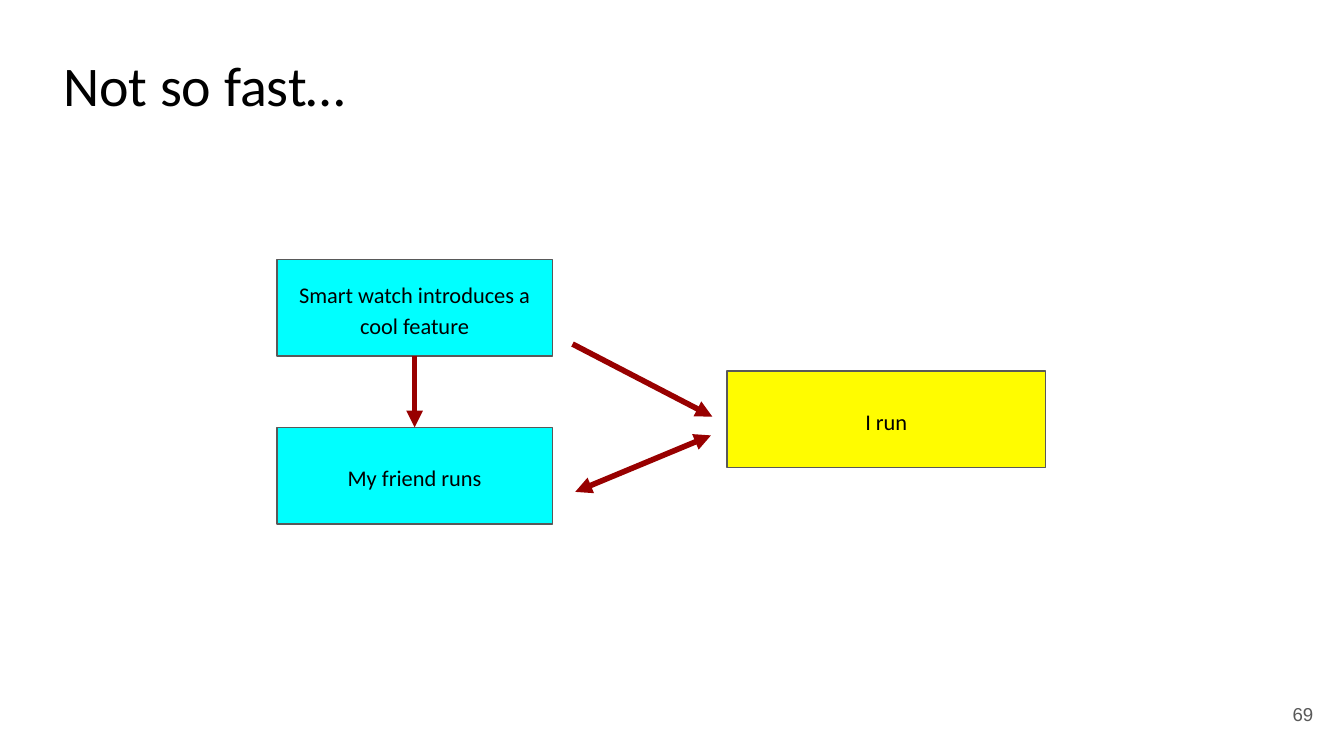
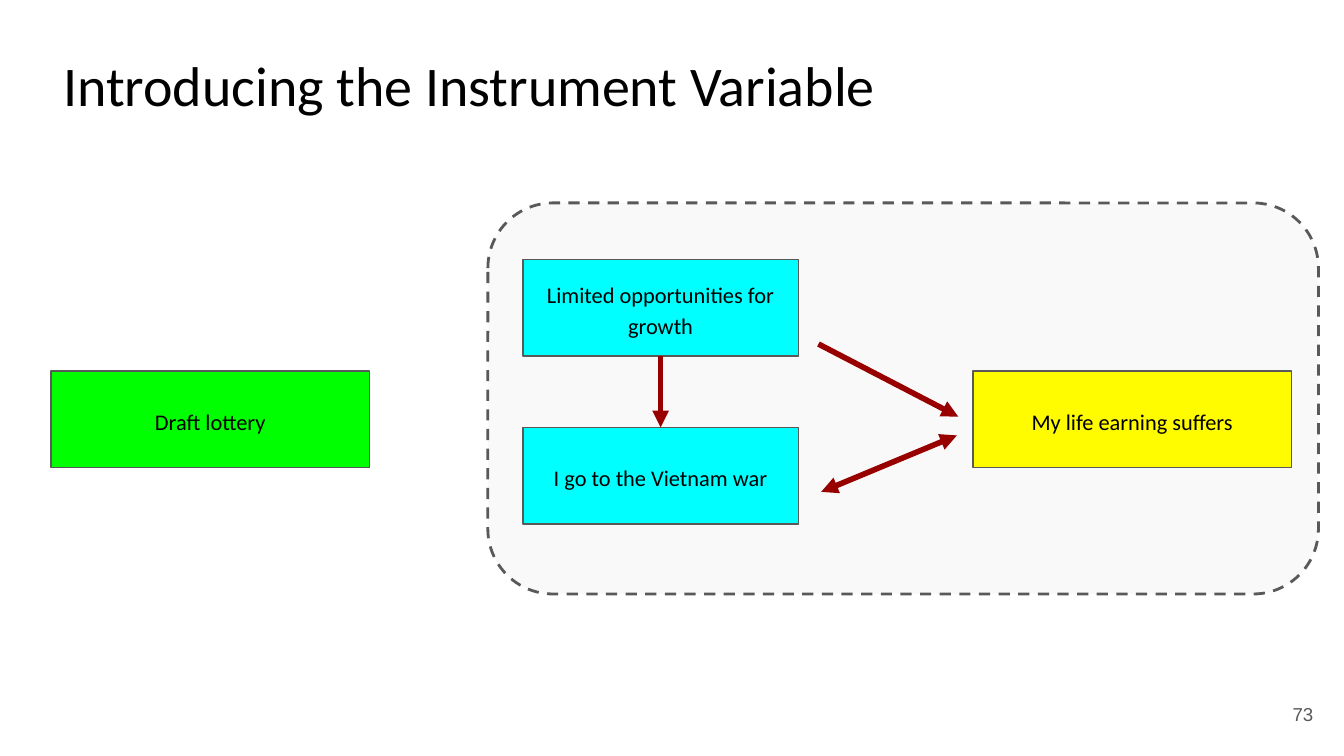
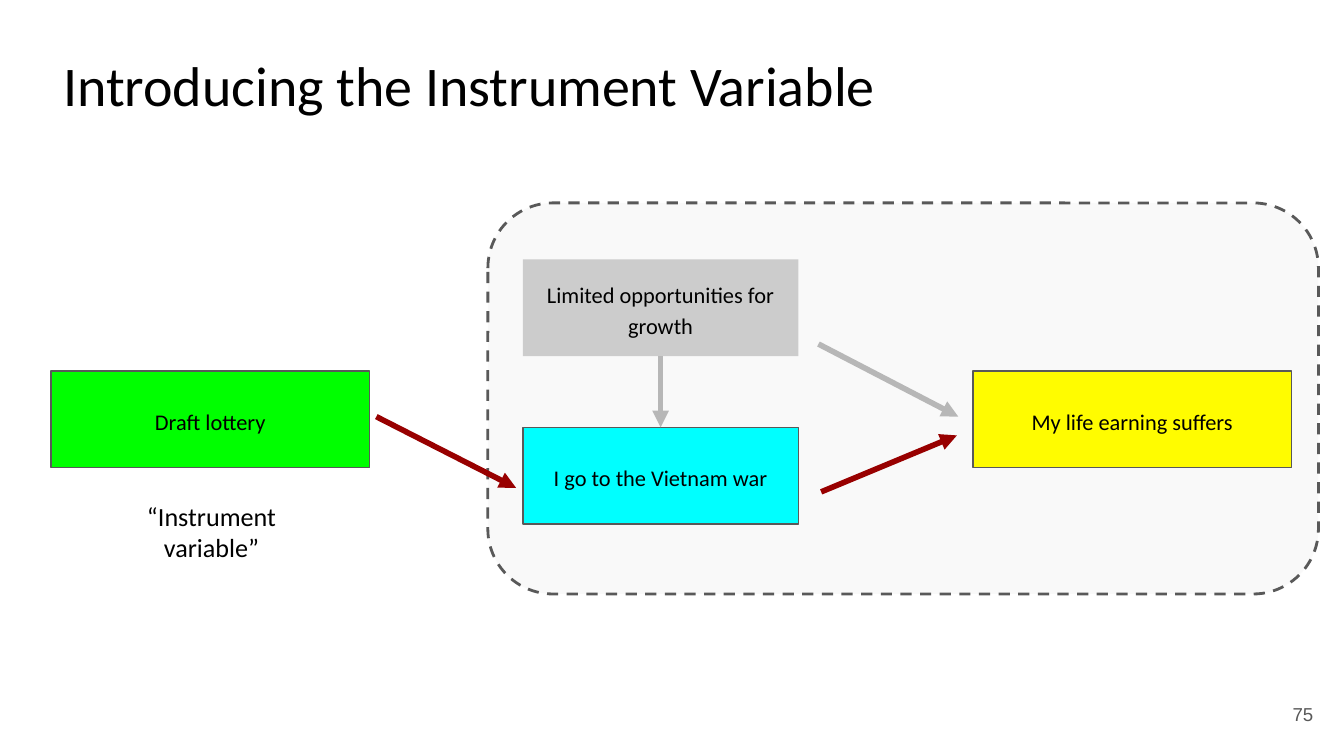
from lxml import etree
from pptx import Presentation
from pptx.dml.color import RGBColor
from pptx.enum.dml import MSO_LINE
from pptx.enum.shapes import MSO_CONNECTOR, MSO_SHAPE
from pptx.enum.text import MSO_ANCHOR, MSO_AUTO_SIZE, PP_ALIGN
from pptx.oxml.ns import qn
from pptx.util import Pt

PX = 9144
TITLE_ONLY = 5
BOTTOM, TOP = 2, 0
RECTANGLE, ROUNDED = MSO_SHAPE.RECTANGLE, MSO_SHAPE.ROUNDED_RECTANGLE
STRAIGHT, DASH = MSO_CONNECTOR.STRAIGHT, MSO_LINE.DASH
LEFT, CENTER, RIGHT = PP_ALIGN.LEFT, PP_ALIGN.CENTER, PP_ALIGN.RIGHT
ANCHOR_TOP, ANCHOR_MIDDLE = MSO_ANCHOR.TOP, MSO_ANCHOR.MIDDLE
NO_AUTOFIT = MSO_AUTO_SIZE.NONE

COLORS = {
    "text": "000000",
    "outline": "595959",
    "cause": "00FFFF",
    "effect": "FFFC00",
    "instrument": "00FF00",
    "panel": "EFEFEF",
    "muted": "CCCCCC",
    "arrow": "980000",
    "muted arrow": "B7B7B7",
}
SLIDE_WIDTH = 1000
BOX_HEIGHT = 72
CAUSE_WIDTH = 205
WIDE_WIDTH = 237
WIDE_TOP = 276
INSTRUMENT_TITLE = "Introducing the Instrument Variable"


def color(name):
    """Return the named colour."""
    return RGBColor.from_string(COLORS[name])


def px(*lengths):
    """Turn px lengths into EMU."""
    return [length * PX for length in lengths]


def write(shape, text, size, align=CENTER, anchor=ANCHOR_MIDDLE, spacing=1.0,
          inset=10, font="Calibri", ink="text"):
    """Put one formatted paragraph into a shape."""
    frame = shape.text_frame
    frame.text = text
    frame_format = {"word_wrap": True, "auto_size": NO_AUTOFIT, "vertical_anchor": anchor}
    for side in ("left", "top", "right", "bottom"):
        frame_format["margin_" + side] = inset * PX
    for name, value in frame_format.items():
        setattr(frame, name, value)
    para = frame.paragraphs[0]
    para.alignment = align
    para.line_spacing = spacing
    span = para.runs[0].font
    for name, value in {"name": font, "size": Pt(size), "bold": False}.items():
        setattr(span, name, value)
    span.color.rgb = color(ink)


def add_page(deck, title, number):
    """Add a slide with its title and page number."""
    page = deck.slides.add_slide(deck.slide_layouts[TITLE_ONLY])
    heading = page.shapes.title
    place = zip(("left", "top", "width", "height"), px(47, 47, 950, 54))
    for name, value in place:
        setattr(heading, name, value)
    write(heading, title, 30, align=LEFT, anchor=ANCHOR_TOP, spacing=0.8, inset=0)
    footer = page.shapes.add_textbox(*px(927, 510, 60, 43))
    write(footer, str(number), 10, align=RIGHT, font="Arial", ink="outline")
    return page


def add_box(page, text, left, top, width, fill, outlined=True):
    """Add a filled, labelled rectangle."""
    box = page.shapes.add_shape(RECTANGLE, *px(left, top, width, BOX_HEIGHT))
    box.shadow.inherit = False
    box.fill.solid()
    box.fill.fore_color.rgb = color(fill)
    if outlined:
        box.line.color.rgb = color("outline")
        box.line.width = Pt(0.75)
    else:
        box.line.fill.background()
    write(box, text, 12, spacing=1.15)
    return box


def add_arrow(page, start, end, ink="arrow", two_way=False):
    """Add a thick arrow between two points."""
    arrow = page.shapes.add_connector(STRAIGHT, *px(*start, *end))
    arrow.line.color.rgb = color(ink)
    arrow.line.width = Pt(3)
    properties = arrow.element.spPr
    line = properties.find(qn("a:ln"))
    for tag in ("a:headEnd", "a:tailEnd") if two_way else ("a:tailEnd",):
        etree.SubElement(line, qn(tag), type="triangle")
    etree.SubElement(properties, qn("a:effectLst"))
    return arrow


def add_panel(page):
    """Add the translucent dashed panel behind the causal diagram."""
    panel = page.shapes.add_shape(ROUNDED, *px(363, 151, 618, 291))
    panel.shadow.inherit = False
    panel.fill.solid()
    panel.fill.fore_color.rgb = color("panel")
    tint = panel.element.spPr.find(qn("a:solidFill")).find(qn("a:srgbClr"))
    etree.SubElement(tint, qn("a:alpha"), val="33000")
    panel.line.color.rgb = color("outline")
    panel.line.width = Pt(1.5)
    panel.line.dash_style = DASH


def add_diagram(page, left, confounder, cause, effect, muted=False):
    """Add a confounder, a cause and an effect joined by arrows."""
    ink = "muted arrow" if muted else "arrow"
    add_box(page, effect, left + 335, WIDE_TOP, WIDE_WIDTH, "effect")
    cause_box = add_box(page, cause, left, 318, CAUSE_WIDTH, "cause")
    add_arrow(page, (left + 220, 256), (left + 324, 310), ink)
    confounder_box = add_box(page, confounder, left, 193, CAUSE_WIDTH,
                             "muted" if muted else "cause", outlined=not muted)
    add_arrow(page, (left + 222, 366), (left + 323, 324), two_way=not muted)
    middle = left + CAUSE_WIDTH // 2
    down = add_arrow(page, (middle, 265), (middle, 318), ink)
    down.begin_connect(confounder_box, BOTTOM)
    down.end_connect(cause_box, TOP)


def add_instrument_page(deck, number, muted=False):
    """Add a slide with the draft lottery beside the framed diagram."""
    page = add_page(deck, INSTRUMENT_TITLE, number)
    add_panel(page)
    add_diagram(page, 389, "Limited opportunities for growth",
                "I go to the Vietnam war", "My life earning suffers", muted)
    add_box(page, "Draft lottery", 38, WIDE_TOP, WIDE_WIDTH, "instrument")
    return page


def main():
    """Build and save the deck."""
    deck = Presentation()
    deck.slide_width = SLIDE_WIDTH * PX
    deck.slide_height = deck.slide_width * 9 // 16

    page = add_page(deck, "Not so fast…", 69)
    add_diagram(page, 206, "Smart watch introduces a cool feature",
                "My friend runs", "I run")

    add_instrument_page(deck, 73)

    page = add_instrument_page(deck, 75, muted=True)
    add_arrow(page, (280, 310), (384, 363))
    label = page.shapes.add_textbox(*px(71, 362, 173, 72))
    write(label, "“Instrument variable”", 14, anchor=ANCHOR_TOP)

    deck.save("out.pptx")


if __name__ == "__main__":
    main()
